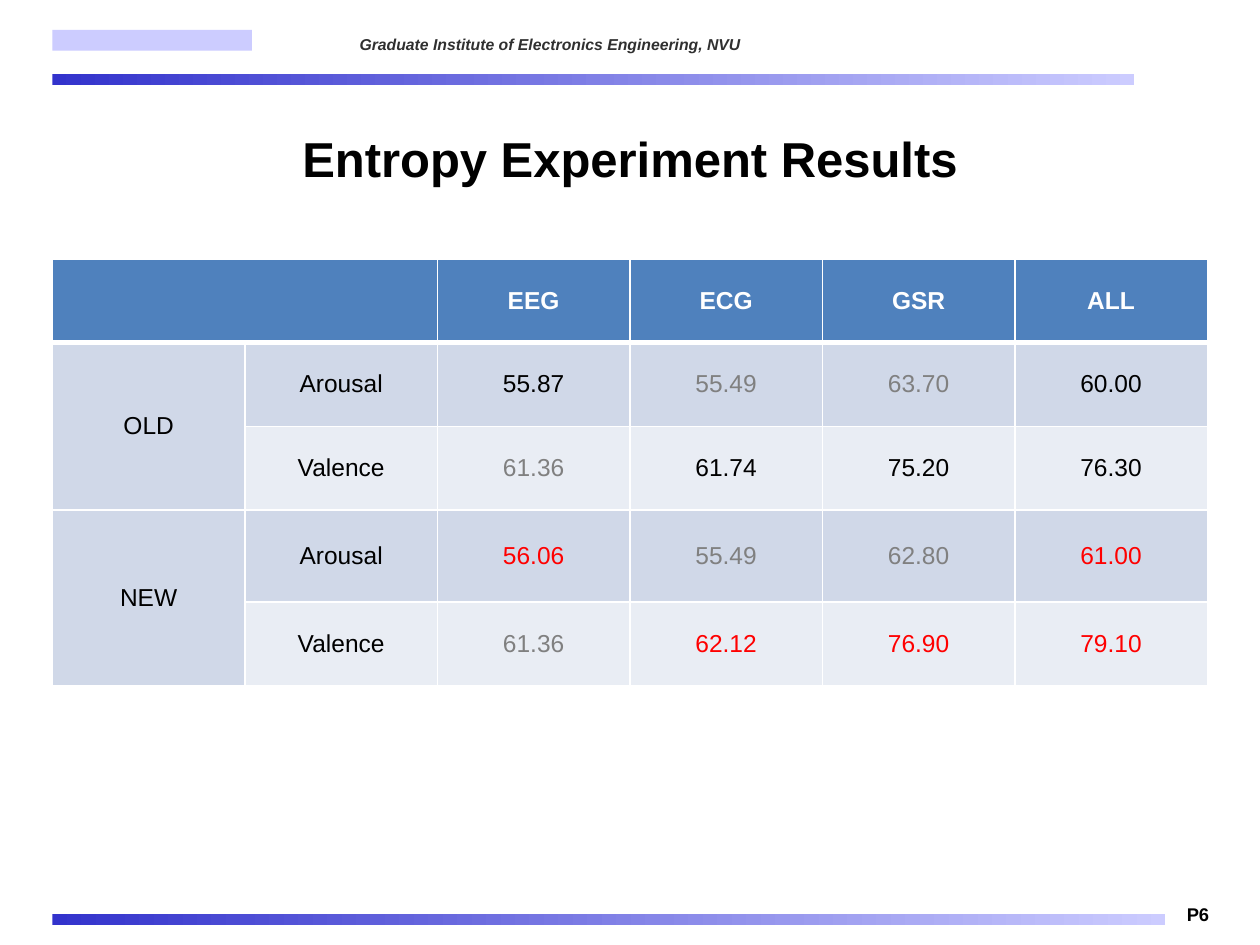
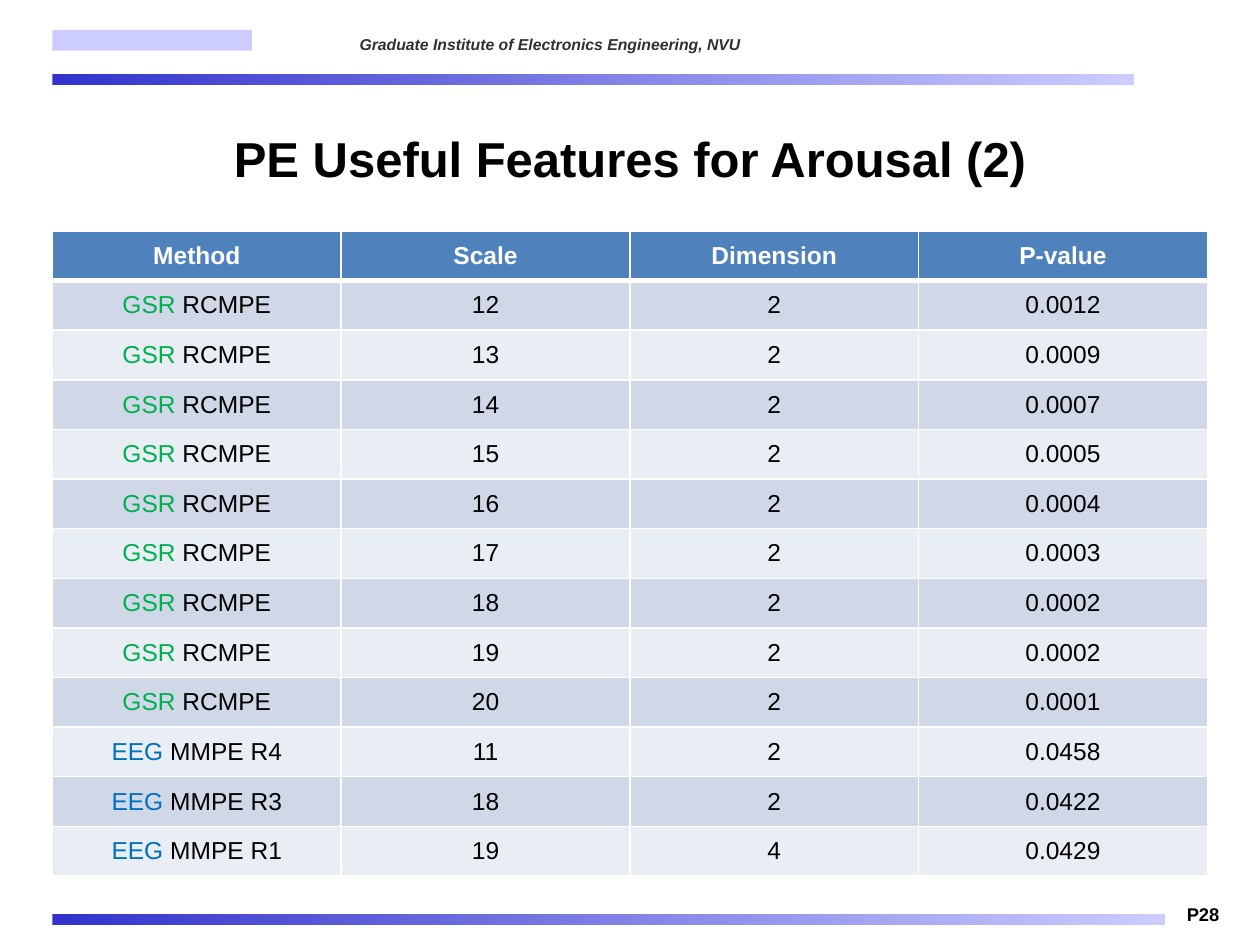
"""Builds two result-table slides with a shared header and footer."""
from lxml import etree
from pptx import Presentation
from pptx.dml.color import RGBColor
from pptx.enum.shapes import MSO_SHAPE
from pptx.enum.text import MSO_ANCHOR, PP_ALIGN
from pptx.oxml.ns import qn
from pptx.util import Pt

RECT = MSO_SHAPE.RECTANGLE
MIDDLE = MSO_ANCHOR.MIDDLE
LEFT, CENTER = PP_ALIGN.LEFT, PP_ALIGN.CENTER

FONT = "Arial"
BLACK, WHITE, GRAY, RED = "000000", "FFFFFF", "808080", "FF0000"
GREEN, BLUE, DARK = "00B050", "0070C0", "303030"
HEADER_FILL, STRIPES = "4F81BD", ("E9EDF4", "D0D8E8")
BAND_START, BAND_END = "3333CC", "CCCCFF"
MARGIN, TABLE_WIDTH = 30, 660
INSTITUTE = "Graduate Institute of Electronics Engineering, NVU"


def rgb(color):
    return RGBColor.from_string(color)


def write(p, runs, size, bold=False, italic=False, align=LEFT):
    p.alignment = align
    p.font.size, p.font.name = Pt(size), FONT
    p.font.bold, p.font.italic = bold, italic
    for text, color in runs:
        r = p.add_run()
        r.text = text
        r.font.color.rgb = rgb(color)


def add_text(slide, left, top, width, height, runs, size, **style):
    tf = slide.shapes.add_textbox(Pt(left), Pt(top), Pt(width), Pt(height)).text_frame
    tf.word_wrap = True
    tf.margin_left = tf.margin_right = Pt(5)
    tf.margin_top = tf.margin_bottom = Pt(2.9)
    write(tf.paragraphs[0], runs, size, **style)


def add_rect(slide, top, width, height):
    sp = slide.shapes.add_shape(RECT, Pt(MARGIN), Pt(top), Pt(width), Pt(height))
    sp.shadow.inherit = False
    sp.line.fill.background()
    return sp


def add_block(slide, top, width, height):
    sp = add_rect(slide, top, width, height)
    sp.fill.solid()
    sp.fill.fore_color.rgb = rgb(BAND_END)


def add_band(slide, top, width):
    sp = add_rect(slide, top, width, 6.5)
    sp.fill.gradient()
    sp.fill.gradient_angle = 0
    for stop, color in zip(sp.fill.gradient_stops, (BAND_START, BAND_END)):
        stop.color.rgb = rgb(color)


def add_slide(prs, title, page):
    slide = prs.slides.add_slide(prs.slide_layouts[5])
    add_band(slide, 42, 618)
    add_block(slide, 17, 114, 12)
    add_text(slide, 200.5, 16.7, 300, 18, [(INSTITUTE, DARK)], 9, bold=True, italic=True)
    add_text(slide, 673.2, 513.4, 40, 18, [(page, BLACK)], 10.5, bold=True)
    add_band(slide, 522, 636)
    sp = slide.shapes.title
    sp.left, sp.top, sp.width, sp.height = Pt(MARGIN), Pt(60), Pt(TABLE_WIDTH), Pt(60)
    sp.text_frame.vertical_anchor = MIDDLE
    write(sp.text_frame.paragraphs[0], [(title, BLACK)], 28, bold=True, align=CENTER)
    return slide


def set_borders(cell, top, bottom):
    tc_pr = cell._tc.get_or_add_tcPr()
    for side, width in (("L", 1), ("R", 1), ("T", top), ("B", bottom)):
        ln = etree.SubElement(tc_pr, qn(f"a:ln{side}"), w=str(Pt(width)))
        fill = etree.SubElement(ln, qn("a:solidFill"))
        etree.SubElement(fill, qn("a:srgbClr"), val=WHITE)


def fill_cell(cell, row, content):
    header = row == 0
    set_borders(cell, 3 if row == 1 else 1, 3 if header else 1)
    cell.fill.solid()
    cell.fill.fore_color.rgb = rgb(HEADER_FILL if header else STRIPES[row % 2])
    cell.vertical_anchor = MIDDLE
    cell.margin_top = cell.margin_bottom = Pt(3)
    if isinstance(content, str):
        content = [(content, WHITE if header else BLACK)] if content else []
    write(cell.text_frame.paragraphs[0], content, 14, bold=header, align=CENTER)


def add_table(slide, top, heights, rows):
    cols = len(rows[0])
    table = slide.shapes.add_table(len(rows), cols, Pt(MARGIN), Pt(top),
                                   Pt(TABLE_WIDTH), Pt(sum(heights))).table
    for col in table.columns:
        col.width = Pt(TABLE_WIDTH / cols)
    for i, (height, row) in enumerate(zip(heights, rows)):
        table.rows[i].height = Pt(height)
        for j, content in enumerate(row):
            fill_cell(table.cell(i, j), i, content)
    return table


def gray(text):
    return [(text, GRAY)]


def red(text):
    return [(text, RED)]


def add_results(prs):
    slide = add_slide(prs, "Entropy Experiment Results", "P6")
    rows = [
        ["", "", "EEG", "ECG", "GSR", "ALL"],
        ["OLD", "Arousal", "55.87", gray("55.49"), gray("63.70"), "60.00"],
        ["", "Valence", gray("61.36"), "61.74", "75.20", "76.30"],
        ["NEW", "Arousal", red("56.06"), gray("55.49"), gray("62.80"), red("61.00")],
        ["", "Valence", gray("61.36"), red("62.12"), red("76.90"), red("79.10")],
    ]
    table = add_table(slide, 148, [47.8, 47.8, 47.8, 52.5, 47.8], rows)
    table.cell(0, 0).merge(table.cell(0, 1))
    for i in (1, 3):
        table.cell(i, 0).merge(table.cell(i + 1, 0))


def add_features(prs):
    slide = add_slide(prs, "PE Useful Features for Arousal (2)", "P28")
    gsr_p_values = ["0.0012", "0.0009", "0.0007", "0.0005", "0.0004",
                    "0.0003", "0.0002", "0.0002", "0.0001"]
    eeg_features = [("R4", "11", "2", "0.0458"), ("R3", "18", "2", "0.0422"),
                    ("R1", "19", "4", "0.0429")]
    rows = [["Method", "Scale", "Dimension", "P-value"]]
    rows += [[[("GSR", GREEN), (" RCMPE", BLACK)], str(scale), "2", p_value]
             for scale, p_value in enumerate(gsr_p_values, 12)]
    rows += [[[("EEG", BLUE), (f" MMPE {region}", BLACK)], *values]
             for region, *values in eeg_features]
    add_table(slide, 132, [28.35] * len(rows), rows)


def main():
    prs = Presentation()
    prs.slide_width, prs.slide_height = Pt(720), Pt(540)
    add_results(prs)
    add_features(prs)
    prs.save("out.pptx")


if __name__ == "__main__":
    main()
